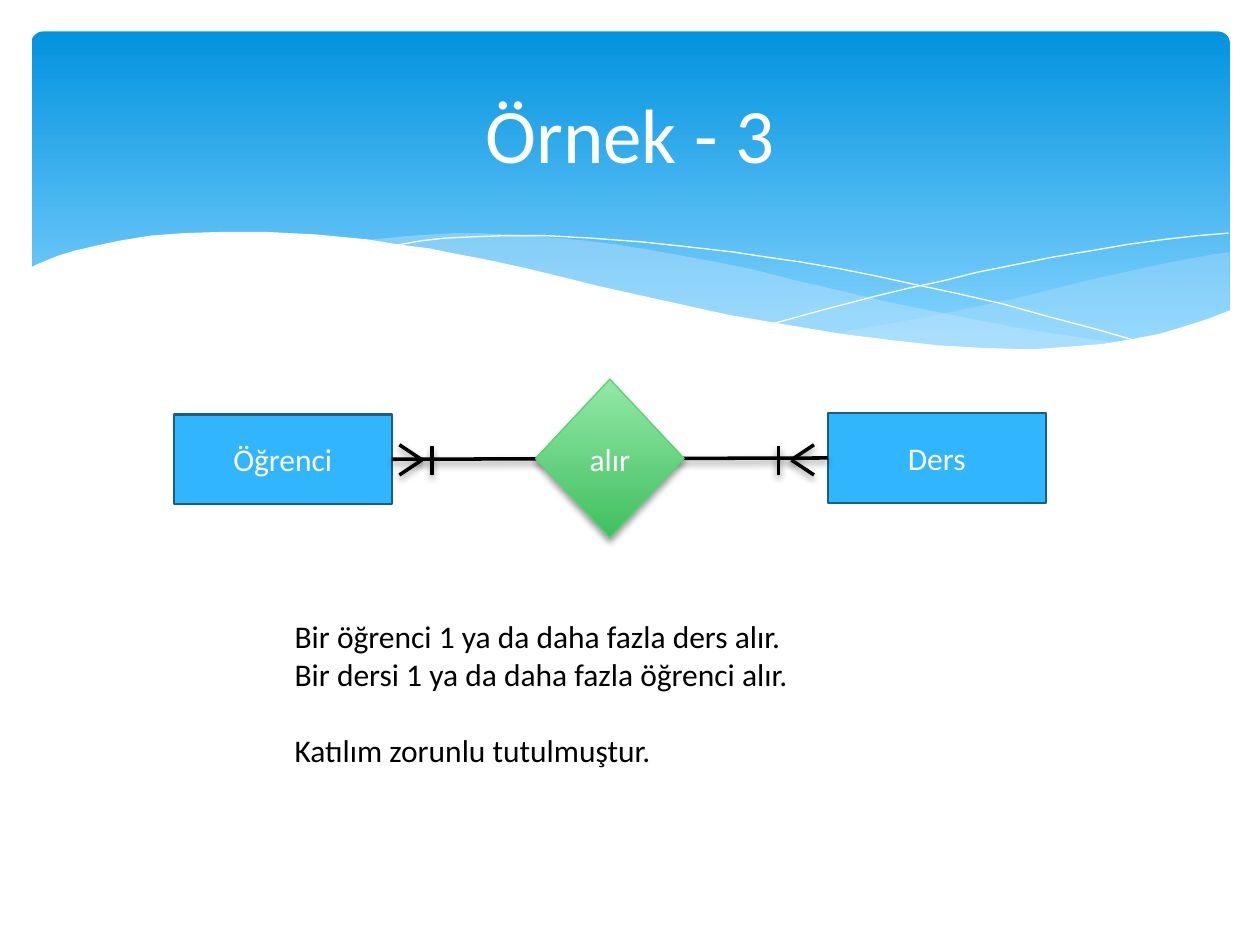
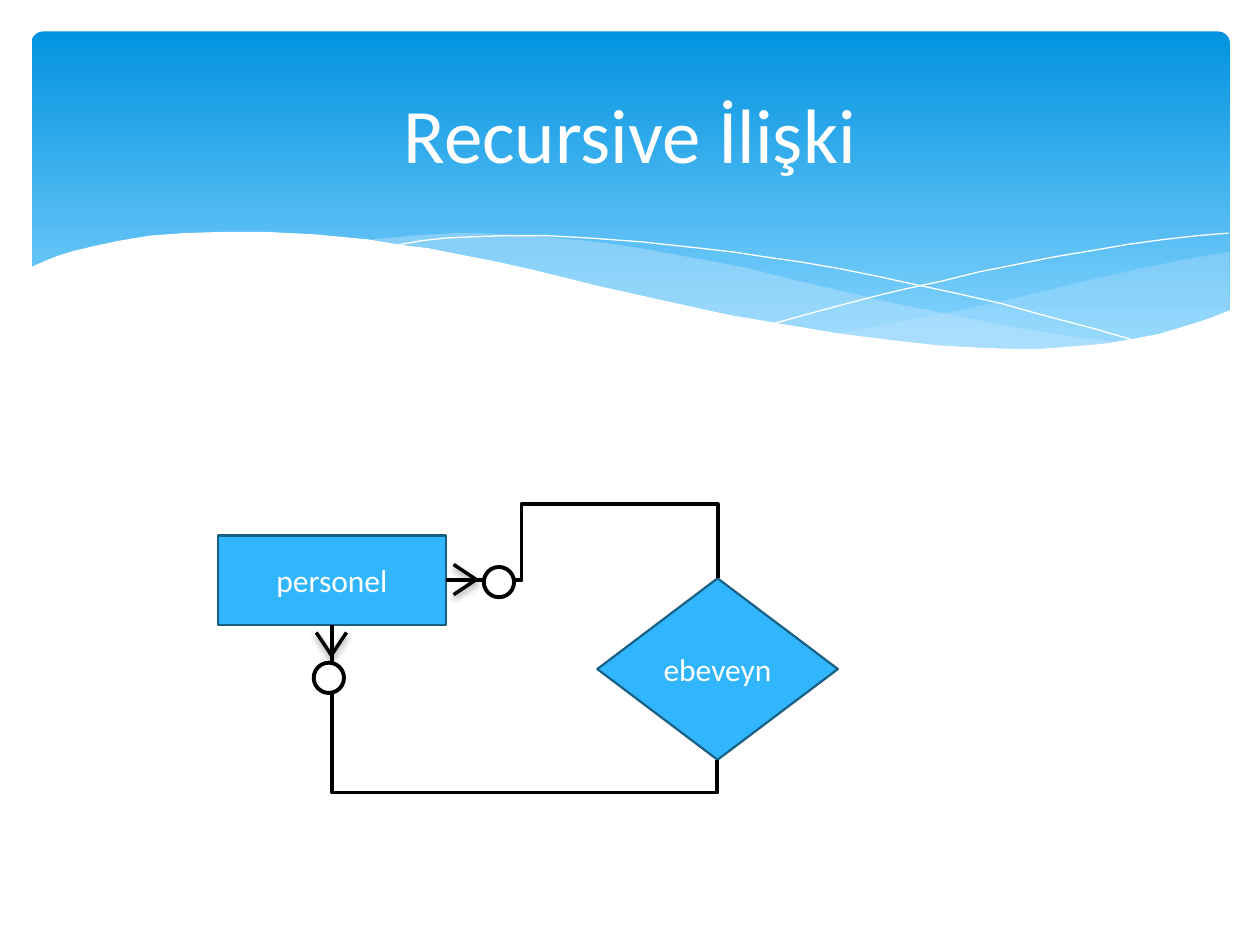
from lxml.etree import SubElement
from pptx import Presentation
from pptx.dml.color import RGBColor
from pptx.enum.shapes import MSO_CONNECTOR, MSO_SHAPE
from pptx.enum.text import MSO_ANCHOR, PP_ALIGN
from pptx.oxml.ns import qn
from pptx.util import Inches, Pt

COLORS = {
    "white": "FFFFFF", "black": "000000",
    "band_top": "0293E0", "band_bottom": "83D3FE", "wave": "C6E7FC",
    "entity": "31B6FD", "entity_edge": "195F84",
    "green_top": "92E8A6", "green_bottom": "41BF60", "green_edge": "5BD078",
}
TITLE_FONT = {"name": "Calibri", "size": Pt(44), "bold": False}
BODY_FONT = {"name": "Calibri", "size": Pt(18)}
CENTERED_FRAME = {"word_wrap": True, "vertical_anchor": MSO_ANCHOR.MIDDLE,
                  "margin_left": 0, "margin_right": 0}
ENTITY_HEIGHT = 0.71

RIGHT_WAVE = [
    (9.76, 2), (9.62, 2.02), (9.35, 2.07), (9.06, 2.13), (8.61, 2.23),
    (8.05, 2.37), (7.53, 2.48), (7.06, 2.57), (6.61, 2.65), (6.91, 2.69),
    (7.19, 2.72), (7.45, 2.75), (7.69, 2.77), (8.03, 2.78), (8.35, 2.77),
    (8.63, 2.75), (8.89, 2.72), (9.13, 2.67), (9.35, 2.62), (9.49, 2.57),
    (9.63, 2.52), (9.76, 2.47),
]
MIDDLE_WAVE = [
    (8.93, 2.73), (8.66, 2.69), (8.37, 2.65), (8.07, 2.6), (7.75, 2.54),
    (7.41, 2.47), (7.06, 2.4), (6.68, 2.31), (6.29, 2.22), (5.98, 2.14),
    (5.69, 2.08), (5.41, 2.03), (5.14, 1.98), (4.89, 1.94), (4.65, 1.91),
    (4.42, 1.89), (4.2, 1.87), (3.99, 1.86), (3.8, 1.85), (3.61, 1.85),
    (3.28, 1.87), (2.86, 1.91), (3.23, 1.96), (3.62, 2.03), (4.04, 2.11),
    (4.49, 2.22), (4.91, 2.32), (5.3, 2.4), (5.66, 2.48), (6.01, 2.55),
    (6.34, 2.61), (6.65, 2.66), (6.95, 2.7), (7.22, 2.74), (7.48, 2.76),
    (7.85, 2.78), (8.28, 2.78), (8.57, 2.77), (8.76, 2.75),
]
FALLING_LINE = [
    (3.09, 1.95), (3.18, 1.94), (3.35, 1.91), (3.53, 1.89), (3.74, 1.88),
    (4.01, 1.87), (4.33, 1.87), (4.69, 1.89), (5.1, 1.92), (5.56, 1.97),
    (5.82, 2), (6.08, 2.04), (6.36, 2.08), (6.65, 2.13), (6.95, 2.19),
    (7.27, 2.26), (7.6, 2.33), (7.95, 2.41), (8.31, 2.51), (8.69, 2.61),
    (9.07, 2.72),
]
RISING_LINE = [
    (6.13, 2.57), (6.53, 2.46), (6.95, 2.35), (7.2, 2.29), (7.48, 2.23),
    (7.76, 2.16), (8.06, 2.1), (8.36, 2.04), (8.66, 1.99), (8.95, 1.94),
    (9.24, 1.9), (9.51, 1.87), (9.75, 1.85),
]
PAGE_WAVE = [
    (9.77, 2.46), (9.59, 2.53), (9.4, 2.59), (9.2, 2.65), (8.99, 2.69),
    (8.75, 2.73), (8.5, 2.75), (8.23, 2.77), (8.09, 2.77), (7.78, 2.76),
    (7.44, 2.74), (7.08, 2.7), (6.68, 2.65), (6.26, 2.58), (5.79, 2.5),
    (5.29, 2.39), (4.75, 2.27), (4.47, 2.2), (4.18, 2.13), (3.91, 2.07),
    (3.65, 2.02), (3.4, 1.97), (3.16, 1.94), (2.92, 1.9), (2.71, 1.88),
    (2.5, 1.86), (2.3, 1.85), (2.11, 1.84), (1.77, 1.84), (1.46, 1.85),
    (1.19, 1.87), (0.95, 1.91), (0.76, 1.95), (0.59, 1.99), (0.46, 2.03),
    (0.36, 2.07), (0.29, 2.1), (0.23, 2.13), (0.23, 3.29), (9.77, 3.29),
]
WAVES = [
    (RIGHT_WAVE, "wave", 29), (MIDDLE_WAVE, "wave", 40),
    (FALLING_LINE, None, None), (RISING_LINE, None, None),
    (PAGE_WAVE, "white", 100),
]


def rgb(name):
    return RGBColor.from_string(COLORS[name])


def apply_format(target, values):
    for attribute, value in values.items():
        setattr(target, attribute, value)


def format_font(font, values, color):
    apply_format(font, values)
    font.color.rgb = rgb(color)


def paint(shape, color, opacity=100):
    shape.fill.solid()
    shape.fill.fore_color.rgb = rgb(color)
    if opacity < 100:
        tint = shape.element.spPr.find(f".//{qn('a:srgbClr')}")
        SubElement(tint, qn("a:alpha"), val=str(opacity * 1000))


def paint_downward(shape, top_color, bottom_color, end=1.0):
    shape.fill.gradient()
    shape.fill.gradient_angle = 270
    for stop, color, position in zip(shape.fill.gradient_stops,
                                     (top_color, bottom_color), (0, end)):
        stop.color.rgb = rgb(color)
        stop.position = position


def outline(shape, color, width):
    shape.line.color.rgb = rgb(color)
    shape.line.width = Pt(width)


def set_effect(shape, shadowed=False):
    effects = SubElement(shape.element.spPr, qn("a:effectLst"))
    if shadowed:
        shadow = SubElement(effects, qn("a:outerShdw"), blurRad=str(Pt(4)),
                            dist=str(Pt(2)), dir="5400000", rotWithShape="0")
        tint = SubElement(shadow, qn("a:srgbClr"), val=COLORS["black"])
        SubElement(tint, qn("a:alpha"), val="38000")


def header_band(slide, left, top):
    band = slide.shapes.add_shape(
        MSO_SHAPE.ROUNDED_RECTANGLE, Inches(left + 0.25), Inches(top + 0.25),
        Inches(9.51), Inches(2.7))
    band.adjustments[0] = 0.034
    paint_downward(band, "band_top", "band_bottom", 0.9)
    band.line.fill.background()
    set_effect(band)
    parts = [band]
    for points, color, opacity in WAVES:
        steps = [(x * 100, y * 100) for x, y in points]
        builder = slide.shapes.build_freeform(*steps[0], scale=Inches(0.01))
        builder.add_line_segments(steps[1:], close=color is not None)
        wave = builder.convert_to_shape(Inches(left), Inches(top))
        if color:
            paint(wave, color, opacity)
            wave.line.fill.background()
        else:
            wave.fill.background()
            outline(wave, "white", 0)
        set_effect(wave)
        parts.append(wave)
    return parts


def move_to_layout(parts, layout):
    for index, part in enumerate(parts, start=2):
        layout.shapes.element.insert(index, part.element)


def add_title(slide, text):
    title = slide.shapes.title
    title.text_frame.text = text
    title.text_frame.vertical_anchor = MSO_ANCHOR.MIDDLE
    heading = title.text_frame.paragraphs[0]
    heading.alignment = PP_ALIGN.CENTER
    format_font(heading.font, TITLE_FONT, "white")


def add_node(slide, kind, text, left, top, width, height, green=False):
    node = slide.shapes.add_shape(kind, Inches(left), Inches(top),
                                  Inches(width), Inches(height))
    if green:
        paint_downward(node, "green_top", "green_bottom")
        outline(node, "green_edge", 0.75)
    else:
        paint(node, "entity")
        outline(node, "entity_edge", 1.25)
    set_effect(node, shadowed=green)
    apply_format(node.text_frame, CENTERED_FRAME)
    label = node.text_frame.paragraphs[0]
    label.text = text
    label.alignment = PP_ALIGN.CENTER
    format_font(label.font, BODY_FONT, "white")
    return node


def add_line(slide, x1, y1, x2, y2):
    line = slide.shapes.add_connector(
        MSO_CONNECTOR.STRAIGHT, Inches(x1), Inches(y1), Inches(x2), Inches(y2))
    outline(line, "black", 2)
    set_effect(line, shadowed=True)
    return line


def add_crow_foot(slide, x, y, dx, dy):
    for side in (-0.12, 0.12):
        add_line(slide, x - 0.18 * dx + side * dy, y - 0.18 * dy + side * dx, x, y)


def add_optional_many(slide, x, y, dx, dy):
    add_crow_foot(slide, x, y, dx, dy)
    size = 0.24
    center_x = x + 0.18 * dx - 0.02 * dy
    center_y = y + 0.18 * dy + 0.02 * dx
    circle = slide.shapes.add_shape(
        MSO_SHAPE.OVAL, Inches(center_x - size / 2), Inches(center_y - size / 2),
        Inches(size), Inches(size))
    paint(circle, "white")
    outline(circle, "black", 2.25)
    set_effect(circle)


def add_elbow(slide, start, start_site, end, end_site):
    elbow = slide.shapes.add_connector(MSO_CONNECTOR.ELBOW, 0, 0, 0, 0)
    elbow.begin_connect(start, start_site)
    elbow.end_connect(end, end_site)
    outline(elbow, "black", 2.25)
    set_effect(elbow)
    return elbow


def bend(elbow, preset, *ratios):
    geometry = elbow.element.spPr.find(qn("a:prstGeom"))
    geometry.set("prst", preset)
    guides = geometry.find(qn("a:avLst"))
    if guides is None:
        guides = SubElement(geometry, qn("a:avLst"))
    for number, ratio in enumerate(ratios, start=1):
        SubElement(guides, qn("a:gd"), name=f"adj{number}",
                   fmla=f"val {round(ratio * 100000)}")


def route_over(elbow, turn_x, turn_y):
    bend(elbow, "bentConnector4",
         (Inches(turn_x) - elbow.begin_x) / elbow.width,
         (elbow.begin_y - Inches(turn_y)) / elbow.height)


def route_under(elbow, turn_y):
    across, down = elbow.width, elbow.height
    ratio = (Inches(turn_y) - elbow.begin_y) / down
    shift = (across - down) // 2
    apply_format(elbow, {"left": elbow.left + shift, "top": elbow.top - shift,
                         "width": down, "height": across})
    frame = elbow.element.spPr.find(qn("a:xfrm"))
    frame.set("rot", "16200000")
    frame.set("flipH", "1")
    bend(elbow, "bentConnector3", ratio)


def enrolment_diagram(slide, left, top):
    student = add_node(slide, MSO_SHAPE.RECTANGLE, "Öğrenci",
                       left, top + 0.28, 1.73, ENTITY_HEIGHT)
    course = add_node(slide, MSO_SHAPE.RECTANGLE, "Ders",
                      left + 5.19, top + 0.27, 1.73, ENTITY_HEIGHT)
    relation = add_line(slide, left + 1.73, top + 0.64, left + 5.19, top + 0.62)
    relation.begin_connect(student, 3)
    relation.end_connect(course, 1)
    for tip, bar, direction in ((1.97, 2.05, 1), (4.9, 4.8, -1)):
        add_line(slide, left + bar, top + 0.53, left + bar, top + 0.76)
        add_crow_foot(slide, left + tip, top + 0.64, direction, 0)
    add_node(slide, MSO_SHAPE.DIAMOND, "alır", left + 2.87, top, 1.18, 1.26,
             green=True)


def enrolment_rules(slide, left, top):
    rules = slide.shapes.add_textbox(Inches(left), Inches(top),
                                     Inches(4.26), Inches(1.31)).text_frame
    rules.word_wrap = False
    rules.text = ("Bir öğrenci 1 ya da daha fazla ders alır.\n"
                  "Bir dersi 1 ya da daha fazla öğrenci alır.\n"
                  "Katılım zorunlu tutulmuştur.")
    for rule in rules.paragraphs:
        format_font(rule.font, BODY_FONT, "black")
    rules.paragraphs[-1].space_before = Pt(22)


def parent_diagram(slide, left, top):
    staff = add_node(slide, MSO_SHAPE.RECTANGLE, "personel",
                     left, top + 0.25, 1.81, ENTITY_HEIGHT)
    parent = add_node(slide, MSO_SHAPE.DIAMOND, "ebeveyn",
                      left + 3.01, top + 0.59, 1.91, 1.44)
    route_over(add_elbow(slide, staff, 3, parent, 0), left + 2.41, top)
    route_under(add_elbow(slide, staff, 2, parent, 2), top + 2.29)
    add_optional_many(slide, left + 2.05, top + 0.6, 1, 0)
    add_optional_many(slide, left + 0.9, top + 1.2, 0, 1)


def main():
    deck = Presentation()
    apply_format(deck, {"slide_width": Inches(10), "slide_height": Inches(7.5)})
    layout = deck.slide_layouts[5]
    apply_format(layout.placeholders[0], {
        "left": Inches(0.5), "top": Inches(0.37),
        "width": Inches(9), "height": Inches(1.37)})

    enrolment = deck.slides.add_slide(layout)
    move_to_layout(header_band(enrolment, 0, 0), layout)
    add_title(enrolment, "Örnek - 3")
    enrolment_diagram(enrolment, 1.38, 3.01)
    enrolment_rules(enrolment, 2.24, 4.85)

    recursive = deck.slides.add_slide(layout)
    add_title(recursive, "Recursive İlişki")
    parent_diagram(recursive, 1.73, 4)

    deck.save("out.pptx")


if __name__ == "__main__":
    main()
